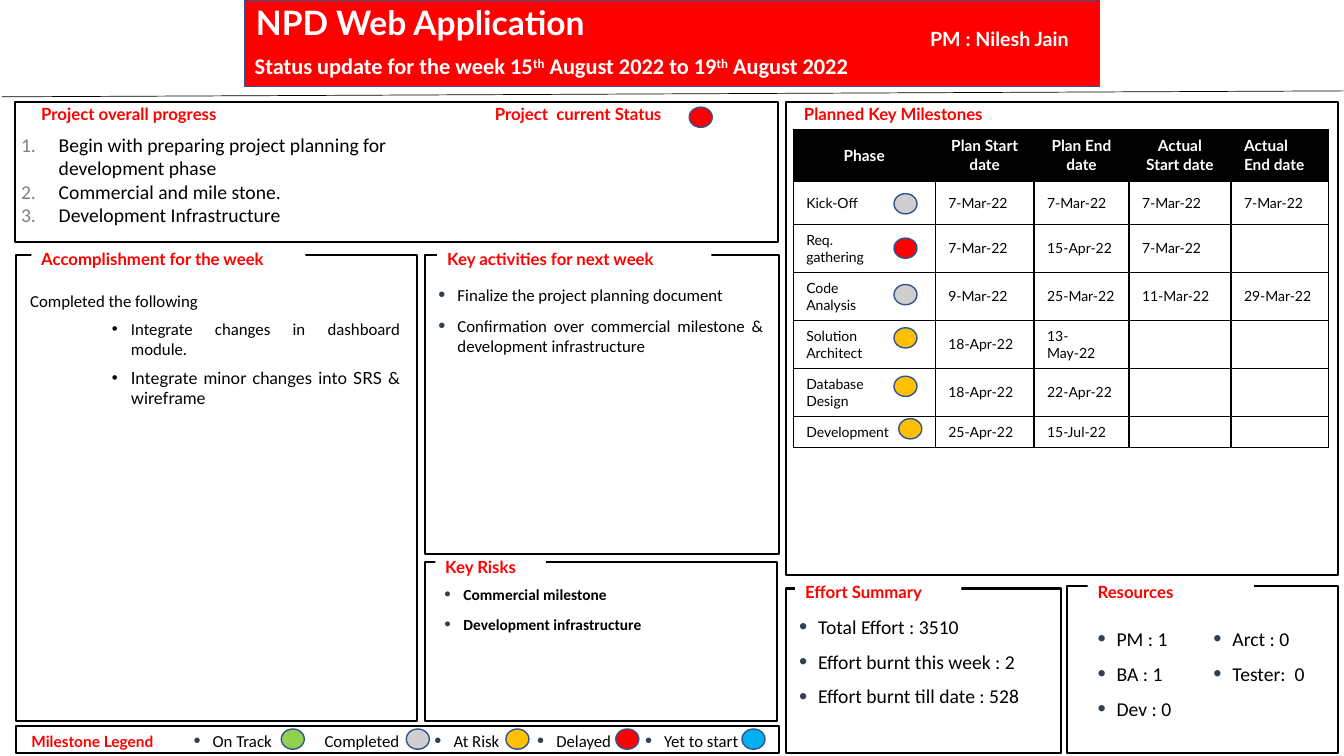
from lxml import etree
from pptx import Presentation, util as u
from pptx.dml.color import RGBColor
from pptx.enum import shapes as sh, text as tx
from pptx.oxml.ns import qn

RED, WHITE, BLACK, NAVY = "FF0000", "FFFFFF", "000000", "325491"
GREY, GREEN, AMBER, BLUE = "D0CECE", "92D050", "FFC000", "00B0F0"
LEFT, MID, JUST = tx.PP_ALIGN.LEFT, tx.PP_ALIGN.CENTER, tx.PP_ALIGN.JUSTIFY


def ink(code):
    return RGBColor.from_string(code)


def sub(node, tag, **keys):
    return etree.SubElement(node, qn(tag), **keys)


def place(item, x, y, w, h):
    item.left, item.top, item.width, item.height = map(u.Cm, (x, y, w, h))


# --- basic parts ---
def draw(slide, box, fill, line=None, width=1.5, kind=sh.MSO_SHAPE.RECTANGLE):
    item = slide.shapes.add_shape(kind, *map(u.Cm, box))
    item.shadow.inherit = False
    item.fill.solid()
    item.fill.fore_color.rgb = ink(fill)
    if line:
        item.line.color.rgb = ink(line)
        item.line.width = u.Pt(width)
    else:
        item.line.fill.background()
    return item


def frame(slide, box):
    draw(slide, box, WHITE, BLACK)


def dot(slide, x, y, fill):
    draw(slide, (x, y, 0.58, 0.51), fill, NAVY, 1, sh.MSO_SHAPE.OVAL)


def style(para, size, color=BLACK, face="Calibri", bold=False, align=LEFT,
          before=0, after=0):
    para.alignment = align
    para.space_before, para.space_after = u.Pt(before), u.Pt(after)
    for run in para.runs:
        font = run.font
        font.size, font.name, font.bold = u.Pt(size), face, bold
        font.color.rgb = ink(color)


def mark(para, left, hang, color, pct, num=False):
    """Hang a bullet or a number in front of a paragraph."""
    props = para._p.get_or_add_pPr()
    props.set("marL", str(u.Cm(left)))
    props.set("indent", str(-u.Cm(hang)))
    sub(sub(props, "a:buClr"), "a:srgbClr", val=color)
    sub(props, "a:buSzPct", val=str(pct * 1000))
    if num:
        sub(props, "a:buFont", typeface="+mj-lt")
        sub(props, "a:buAutoNum", type="arabicPeriod")
    else:
        sub(props, "a:buFont", typeface="Arial")
        sub(props, "a:buChar", char="•")


def write(item, words, pad=0.0, **look):
    body = item.text_frame
    body.text = words
    body.word_wrap = True
    body.auto_size = tx.MSO_AUTO_SIZE.SHAPE_TO_FIT_TEXT
    body.vertical_anchor = tx.MSO_ANCHOR.TOP
    body.margin_left = body.margin_right = u.Cm(0.25)
    body.margin_top = body.margin_bottom = u.Cm(pad)
    for para in body.paragraphs:
        style(para, **look)
    return body


def head(slide, x, y, w, words, size=12):
    item = draw(slide, (x, y, w, 0.51), WHITE)
    write(item, words, size=size, color=RED, face="Lato", bold=True,
          before=2, after=2)


def points(slide, box, words, size=12, bold=False):
    body = write(draw(slide, box, WHITE), words, size=size, bold=bold,
                 align=JUST, before=6, after=2)
    for para in body.paragraphs:
        mark(para, 0.48, 0.48, "333F50", 120)


# --- regions ---
def banner(slide, x, y, w, h):
    draw(slide, (x, y, w, h), RED, NAVY, 1)
    title = slide.shapes.title
    title.element.getparent().append(title.element)
    place(title, x + 0.03, y - 0.08, 10.21, 1.27)
    write(title, "NPD Web Application", 0.13, size=24, color=WHITE,
          face="Lato", bold=True)
    week = slide.shapes.add_textbox(*map(u.Cm, (x, y + 1.19, 15.54, 0.94)))
    body = write(week, "", 0.13, size=16)
    body.word_wrap = False
    para = body.paragraphs[0]
    for part in ("Status update for the week 15", "th", " August 2022 to 19",
                 "th", " August 2022"):
        run = para.add_run()
        run.text = part
        if part == "th":
            run._r.get_or_add_rPr().set("baseline", "30000")
    style(para, 16, WHITE, bold=True)
    lead = draw(slide, (x + 17.02, y + 0.69, 4.27, 0.61), RED)
    write(lead, "PM : Nilesh Jain", size=14, color=WHITE, face="Lato",
          bold=True, align=JUST, before=6)


def rule(slide, x, y, w, rise):
    line = slide.shapes.add_connector(
        sh.MSO_CONNECTOR.STRAIGHT, *map(u.Cm, (x, y, x + w, y - rise)))
    line.line.color.rgb = ink(BLACK)
    line.line.width = u.Pt(0.5)
    sub(line.element.spPr, "a:effectLst")


def progress(slide, x, y, w, h):
    frame(slide, (x, y, w, h))
    body = slide.placeholders[1]
    body.element.getparent().append(body.element)
    place(body, x - 0.1, y + 0.64, 12.27, 3.0)
    steps = write(body, "Begin with preparing project planning for development phase\n"
                  "Commercial and mile stone.\nDevelopment Infrastructure",
                  0.13, size=14)
    for para in steps.paragraphs:
        mark(para, 0.95, 0.95, "808080", 100, num=True)
    head(slide, x + 0.41, y + 0.05, 6.91, "Project overall progress")
    head(slide, x + 11.84, y + 0.05, 5.13, "Project  current Status")
    dot(slide, x + 16.99, y + 0.13, RED)


def done(slide, x, y, w, h):
    frame(slide, (x, y, w, h))
    item = draw(slide, (x + 0.1, y + 0.89, 9.83, 3), WHITE)
    body = write(item, "Completed the following\n"
                 "Integrate changes in dashboard module.\n"
                 "Integrate minor changes into SRS & wireframe",
                 size=12, align=JUST, before=6)
    for para in body.paragraphs[1:]:
        para.level = 1
        mark(para, 2.54, 0.48, BLACK, 100)
    body.paragraphs[2].runs[0].font.name = "Lato"
    head(slide, x + 0.38, y - 0.15, 6.91, "Accomplishment for the week")


def coming(slide, x, y, w, h):
    frame(slide, (x, y, w, h))
    points(slide, (x + 0.08, y + 0.74, 8.69, 1.83),
           "Finalize the project planning document\n"
           "Confirmation over commercial milestone & development infrastructure")
    head(slide, x + 0.3, y - 0.15, 6.91, "Key activities for next week")


def risks(slide, x, y, w, h):
    frame(slide, (x, y, w, h))
    head(slide, x + 0.25, y - 0.13, 2.79, "Key Risks")
    points(slide, (x + 0.23, y + 0.58, 8.18, 1.22),
           "Commercial milestone\nDevelopment infrastructure", 11, True)


def effort(slide, x, y, w, h):
    frame(slide, (x, y, w, h))
    head(slide, x + 0.23, y - 0.18, 4.19, "Effort Summary")
    points(slide, (x + 0.08, y + 0.66, 6.53, 2.36),
           "Total Effort : 3510\nEffort burnt this week : 2\n"
           "Effort burnt till date : 528", 14)


def staff(slide, x, y, w, h):
    frame(slide, (x, y, w, h))
    head(slide, x + 0.51, y - 0.1, 4.19, "Resources")
    points(slide, (x + 0.51, y + 1.04, 2.92, 2.36), "PM : 1\nBA : 1\nDev : 0", 14)
    points(slide, (x + 3.43, y + 1.04, 3.05, 1.47), "Arct : 0\nTester:  0", 14)


def fill_cell(cell, words, top, align):
    cell.text = words
    cell.vertical_anchor = tx.MSO_ANCHOR.MIDDLE
    cell.margin_left = cell.margin_right = u.Cm(0.33)
    cell.margin_top = cell.margin_bottom = u.Cm(0.18)
    for para in cell.text_frame.paragraphs:
        style(para, 11 if top else 10, WHITE if top else BLACK, "Lato", top, align)
        if not words:
            sub(para._p, "a:endParaRPr", sz="1000")
    for side in "LRTB":
        edge = sub(cell._tc.get_or_add_tcPr(), "a:ln" + side, w=str(u.Pt(1)))
        sub(sub(edge, "a:solidFill"), "a:srgbClr", val=BLACK)
    cell.fill.solid()
    cell.fill.fore_color.rgb = ink(BLACK if top else WHITE)


def plan(slide, x, y, w, h):
    frame(slide, (x, y, w, h))
    head(slide, x + 0.2, y + 0.05, 6.27, "Planned Key Milestones")
    rows = [
        ("Phase", "Plan Start date", "Plan End date", "Actual\nStart date", "Actual\nEnd date"),
        ("Kick-Off", "7-Mar-22", "7-Mar-22", "7-Mar-22", "7-Mar-22"),
        ("Req.\ngathering", "7-Mar-22", "15-Apr-22", "7-Mar-22", ""),
        ("Code\nAnalysis", "9-Mar-22", "25-Mar-22", "11-Mar-22", "29-Mar-22"),
        ("Solution\nArchitect", "18-Apr-22", "13-May-22", "", ""),
        ("Database\nDesign", "18-Apr-22", "22-Apr-22", "", ""),
        ("Development", "25-Apr-22", "15-Jul-22", "", "")]
    wide = (3.58, 2.49, 2.39, 2.57, 2.46)
    tall = (1.31, 1.09, 1.2, 1.19, 1.19, 1.19, 0.76)
    grid = slide.shapes.add_table(len(rows), len(wide), *map(
        u.Cm, (x + 0.18, y + 0.69, sum(wide), sum(tall)))).table
    for col, size in zip(grid.columns, wide):
        col.width = u.Cm(size)
    for r, row in enumerate(rows):
        grid.rows[r].height = u.Cm(tall[r])
        for c, words in enumerate(row):
            fill_cell(grid.cell(r, c), words, r == 0, MID if r == 0 and c < 4 else LEFT)
    # State of each phase
    for dx, dy, state in ((2.72, 2.31, GREY), (2.72, 3.43, RED), (2.72, 4.6, GREY),
                          (2.72, 5.69, AMBER), (2.72, 6.91, AMBER), (2.84, 7.98, AMBER)):
        dot(slide, x + dx, y + dy, state)


def legend(slide, x, y, w, h):
    frame(slide, (x, y, w, h))
    head(slide, x + 0.13, y + 0.15, 3.91, "Milestone Legend", 11)
    keys = (("Completed", 7.04, 3.1, 9.83, GREY), ("On Track", 4.22, 3.48, 6.68, GREEN),
            ("At Risk", 10.29, 3.68, 12.34, AMBER), ("Delayed", 12.88, 3.68, 15.11, RED),
            ("Yet to start", 15.6, 3.58, 18.29, BLUE))
    for words, dx, size, _, _ in keys:
        points(slide, (x + dx, y + 0.12, size, 0.51), words)
    for _, _, _, dx, state in keys:
        dot(slide, x + dx, y + 0.08, state)


def main():
    deck = Presentation()
    deck.slide_width, deck.slide_height = u.Cm(33.87), u.Cm(19.05)
    slide = deck.slides.add_slide(deck.slide_layouts[1])
    banner(slide, 6.17, 0, 21.54, 2.18)
    rule(slide, 0.05, 2.44, 33.81, 0.15)
    progress(slide, 0.38, 2.57, 19.23, 3.53)
    done(slide, 0.41, 6.43, 10.11, 11.73)
    coming(slide, 10.72, 6.43, 8.92, 7.54)
    risks(slide, 10.72, 14.17, 8.86, 3.99)
    plan(slide, 19.81, 2.57, 13.92, 11.91)
    effort(slide, 19.81, 14.83, 6.93, 4.14)
    staff(slide, 26.9, 14.76, 6.81, 4.22)
    legend(slide, 0.41, 18.29, 19.23, 0.69)
    deck.save("out.pptx")


if __name__ == "__main__":
    main()
